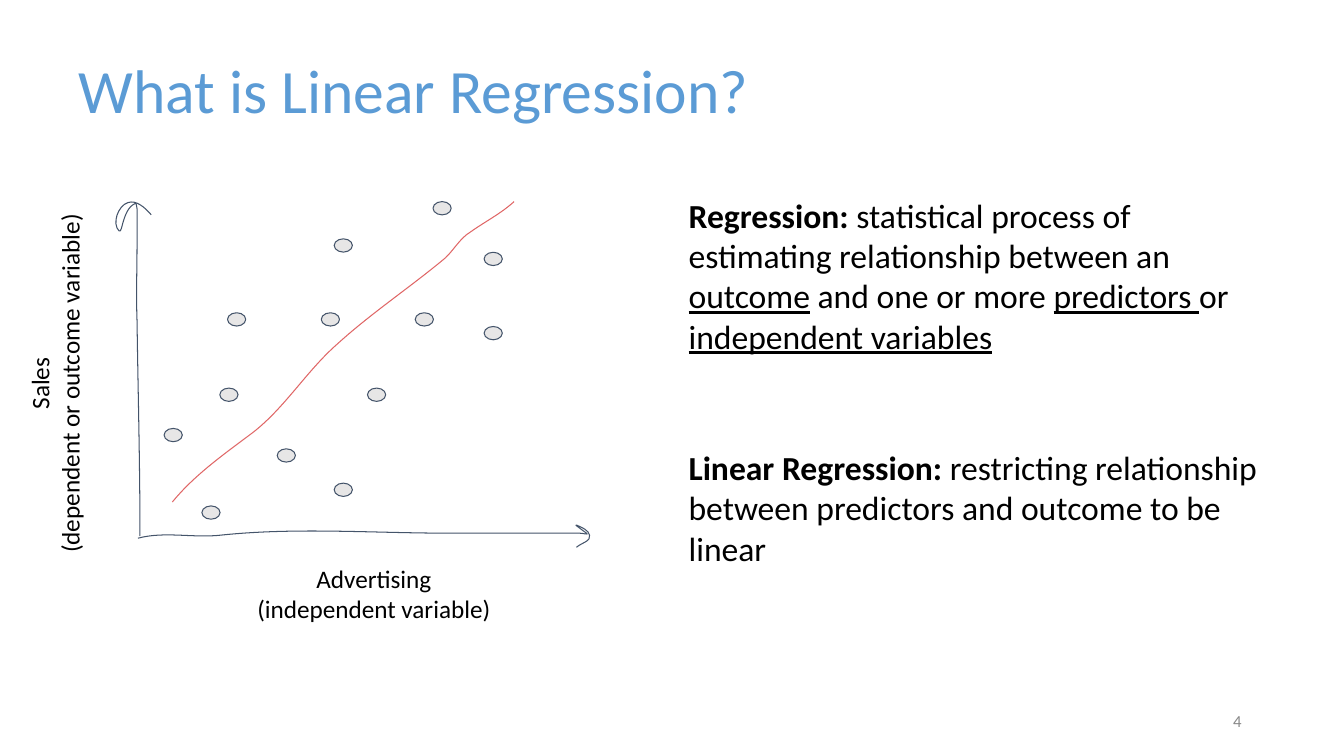
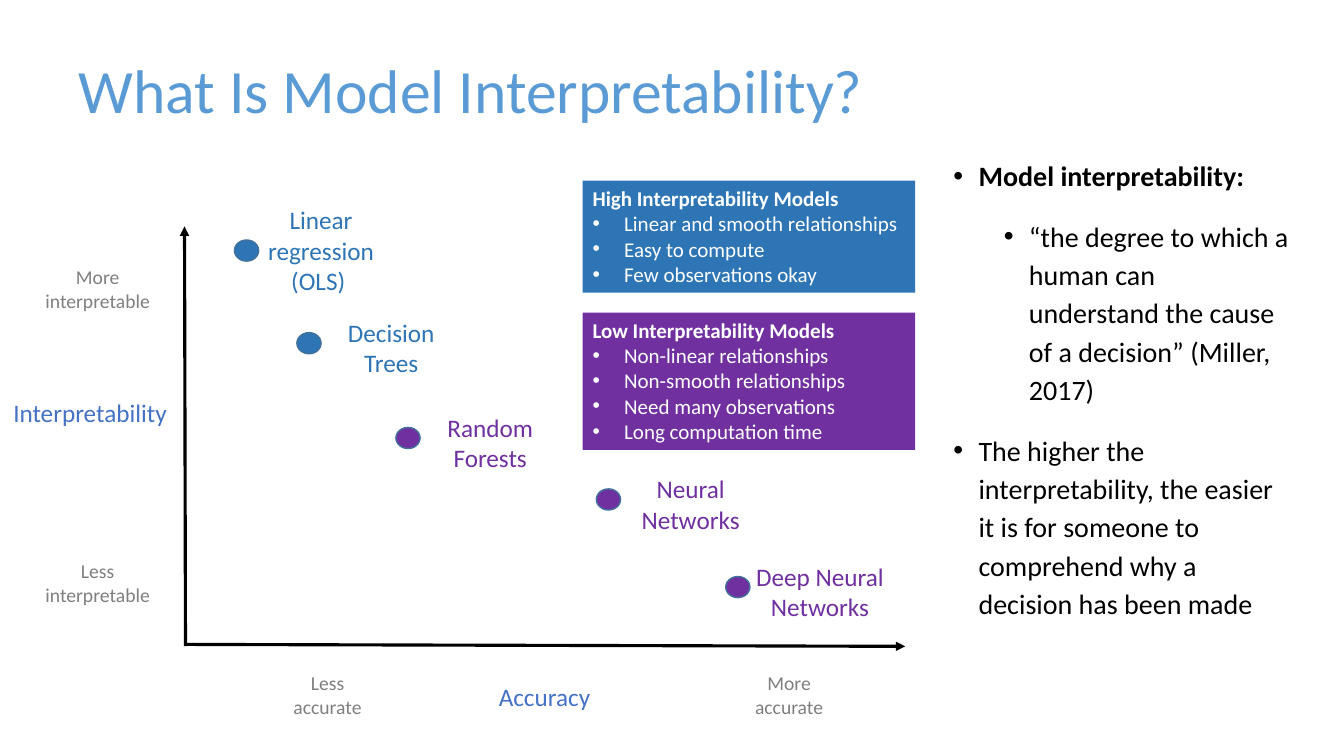
from pptx import Presentation
from pptx.dml.color import RGBColor
from pptx.enum.shapes import MSO_CONNECTOR, MSO_SHAPE
from pptx.enum.text import MSO_ANCHOR, MSO_AUTO_SIZE, PP_ALIGN
from pptx.oxml.ns import qn
from pptx.util import Pt
from lxml import etree

FACE = "Calibri"
SKY = RGBColor(0x5B, 0x9B, 0xD5)
BLUE = RGBColor(0x2E, 0x75, 0xB5)
EDGE = RGBColor(0x42, 0x71, 0x9B)
AXIS = RGBColor(0x44, 0x72, 0xC4)
PLUM = RGBColor(0x70, 0x30, 0xA0)
SLATE = RGBColor(0x44, 0x54, 0x6A)
PALE = RGBColor(0xE7, 0xE6, 0xE6)
ROSE = RGBColor(0xE0, 0x66, 0x66)
GRAY = RGBColor(0x7F, 0x7F, 0x7F)
MUTE = RGBColor(0x88, 0x88, 0x88)
BLACK = RGBColor(0, 0, 0)
WHITE = RGBColor(0xFF, 0xFF, 0xFF)

LEFT, MID, RIGHT = PP_ALIGN.LEFT, PP_ALIGN.CENTER, PP_ALIGN.RIGHT
TOP, CENTER = MSO_ANCHOR.TOP, MSO_ANCHOR.MIDDLE
FIXED = MSO_AUTO_SIZE.NONE
OVAL, RECT = MSO_SHAPE.OVAL, MSO_SHAPE.RECTANGLE
STRAIGHT = MSO_CONNECTOR.STRAIGHT

# Sketch curves: a start point, then cubic segments (two handles, end)
RISE = [(100, 383),
        (100, 331.2), (98.6, 280), (97.9, 229),
        (97.2, 210.6), (97.9, 192.2), (97.9, 174.2),
        (97.9, 165.6), (97.9, 157), (97.9, 149),
        (97.9, 147.6), (97.2, 144.7), (96.5, 145.4),
        (91.4, 147.6), (89.3, 154.1), (87.8, 159.1),
        (87.1, 161.3), (86.4, 166.3), (85, 164.9),
        (79.9, 159.8), (84.2, 146.9), (91.4, 144.7),
        (97.2, 142.6), (103.7, 148.3), (108, 153.4)]
RUN = [(98.6, 384.5),
       (117.4, 379.4), (138.2, 384.5), (157.7, 382.3),
       (211.7, 376.6), (266.4, 380.9), (321.1, 380.9),
       (346.3, 380.9), (371.5, 380.9), (396.7, 380.9),
       (402.5, 380.9), (408.2, 380.9), (414, 380.9),
       (416.2, 380.9), (421.2, 382.3), (419, 380.9),
       (416.9, 379.4), (409, 373.7), (411.8, 375.1),
       (415.4, 376.6), (420.5, 378.7), (421.2, 382.3),
       (422.6, 386.6), (414.7, 388.1), (411.8, 391)]
TREND = [(123.1, 358.6),
         (139, 339.1), (160.6, 324), (180.7, 308.9),
         (203.8, 290.9), (218.9, 265), (241.2, 245.5),
         (264.2, 224.6), (290.9, 206.6), (315.4, 186.5),
         (323.3, 180.7), (327.6, 170.6), (336.2, 165.6),
         (346.3, 158.4), (357.8, 152.6), (367.2, 144)]

SALES = [(157, 277.2), (162.5, 223.4), (229.5, 223.4), (345.8, 233.2),
         (238.7, 170.6), (296.6, 223.4), (238.7, 345.1), (262.5, 277.2),
         (309.3, 144), (144.2, 361.4), (198, 320.6), (345.8, 180.2),
         (117.2, 306)]

# Name, dot position, label offset, label height, colour
MODELS = [
    ("Linear regression (OLS) ", 167.5, 171.4, (8.2, -28.8), 72.7, BLUE),
    ("Decision Trees", 212.1, 237.6, (13.7, -14.4), 51, BLUE),
    ("Random Forests", 282.8, 305.3, (13.7, -14.4), 51, PLUM),
    ("Neural Networks", 426, 349.2, (13.7, -14.4), 51, PLUM),
    ("Deep Neural Networks", 518.4, 411.8, (13.7, -14.4), 51, PLUM),
]


# Text
def put(frame, lines, size, color, align=LEFT):
    """Fill a frame; a line is a string or a list of (text, style) runs."""
    frame.word_wrap = True
    frame.auto_size = FIXED
    for i, line in enumerate(lines):
        para = frame.paragraphs[0] if i == 0 else frame.add_paragraph()
        para.alignment = align
        para.space_before = Pt(0)
        font = para.font
        font.name, font.size = FACE, Pt(size)
        font.color.rgb = color
        runs = [(line, "")] if isinstance(line, str) else line
        for words, style in runs:
            run = para.add_run()
            run.text = words
            if style == "b":
                run.font.bold = True
            elif style == "u":
                run.font.underline = True


def bullet(para, left, hang, color):
    props = para._p.get_or_add_pPr()
    props.set("marL", str(Pt(left)))
    props.set("indent", str(-Pt(hang)))
    tint = etree.Element(qn("a:buClr"))
    etree.SubElement(tint, qn("a:srgbClr"), val=str(color))
    face = etree.Element(qn("a:buFont"), typeface="Arial")
    mark = etree.Element(qn("a:buChar"), char="•")
    last = props.find(qn("a:defRPr"))
    for part in (tint, face, mark):
        last.addprevious(part)


def place(shape, x, y, w, h):
    shape.left, shape.top, shape.width, shape.height = map(Pt, (x, y, w, h))


def label(slide, lines, x, y, w, h, size=18, color=BLACK, align=MID):
    box = slide.shapes.add_textbox(Pt(x), Pt(y), Pt(w), Pt(h))
    put(box.text_frame, lines, size, color, align)
    return box


def start(deck, layout, title):
    slide = deck.slides.add_slide(deck.slide_layouts[layout])
    head = slide.shapes.title
    place(head, 49, 22.3, 720, 88.6)
    put(head.text_frame, [title], 44, SKY)
    head.text_frame.vertical_anchor = CENTER
    head.text_frame.paragraphs[0].line_spacing = 0.9
    return slide


# Shapes
def dot(slide, x, y, w, h, fill, edge, width):
    oval = slide.shapes.add_shape(OVAL, Pt(x), Pt(y), Pt(w), Pt(h))
    oval.shadow.inherit = False
    oval.fill.solid()
    oval.fill.fore_color.rgb = fill
    oval.line.color.rgb = edge
    oval.line.width = Pt(width)


def panel(slide, y, h, fill, head, items):
    box = slide.shapes.add_shape(RECT, Pt(416.2), Pt(y), Pt(237.4), Pt(h))
    box.shadow.inherit = False
    box.fill.solid()
    box.fill.fore_color.rgb = fill
    box.line.fill.background()
    frame = box.text_frame
    put(frame, [[(head, "b")]] + items, 15, WHITE)
    frame.vertical_anchor = TOP
    for para in frame.paragraphs[1:]:
        bullet(para, 22.5, 22.5, WHITE)


def arrow(slide, x1, y1, x2, y2):
    line = slide.shapes.add_connector(STRAIGHT, *map(Pt, (x1, y1, x2, y2)))
    line.line.color.rgb = BLACK
    line.line.width = Pt(2.25)
    etree.SubElement(line.line._get_or_add_ln(), qn("a:tailEnd"),
                     type="triangle")
    etree.SubElement(line._element.spPr, qn("a:effectLst"))


def curve(slide, knots, color):
    pen = slide.shapes.build_freeform(*map(Pt, knots[0]))
    pen.add_line_segments([(Pt(x), Pt(y)) for x, y in knots[1:]], close=False)
    shape = pen.convert_to_shape()
    # Turn each three straight steps into one cubic segment
    steps = list(shape._element.iter(qn("a:lnTo")))
    for i in range(0, len(steps), 3):
        cubic = etree.Element(qn("a:cubicBezTo"))
        steps[i].addprevious(cubic)
        for step in steps[i:i + 3]:
            cubic.append(step[0])
            step.getparent().remove(step)
    shape.shadow.inherit = False
    shape.fill.background()
    shape.line.color.rgb = color
    shape.line.width = Pt(0.75)


# Slides
def regress(deck):
    slide = start(deck, 5, "What is Linear Regression?")
    label(slide, ["4"], 678, 500.5, 216, 28.8, 12, MUTE,
          RIGHT).text_frame.vertical_anchor = CENTER
    label(slide, [[
        ("Regression: ", "b"),
        ("statistical process of estimating relationship between an ", ""),
        ("outcome", "u"), (" and one or more ", ""), ("predictors ", "u"),
        ("or ", ""), ("independent variables", "u"),
    ]], 484.8, 135.4, 436.3, 124, 24, align=LEFT)
    label(slide, [[
        ("Linear Regression: ", "b"),
        ("restricting relationship between predictors and outcome "
         "to be linear", ""),
    ]], 484.8, 315.7, 436.3, 94.5, 24, align=LEFT)

    # Sketched scatter
    label(slide, ["Advertising", "(independent variable)"],
          175.3, 398.7, 183.6, 51)
    label(slide, ["Sales", "(dependent or outcome variable)"],
          -90.7, 248.4, 260, 51).rotation = 270
    for knots, color in ((RISE, SLATE), (RUN, SLATE), (TREND, ROSE)):
        curve(slide, knots, color)
    for x, y in SALES:
        dot(slide, x, y, 13, 9.5, PALE, SLATE, 0.75)


def explain(deck):
    slide = start(deck, 1, "What Is Model Interpretability?")
    body = slide.placeholders[1]
    place(body, 673.8, 106.4, 255, 406)
    put(body.text_frame, [
        [("Model interpretability:", "b")],
        "“the degree to which a human can understand the cause of a "
        "decision” (Miller, 2017)",
        "The higher the interpretability, the easier it is for someone to "
        "comprehend why a decision has been made",
    ], 20, BLACK)
    for i, para in enumerate(body.text_frame.paragraphs):
        para.level = 1 if i == 1 else 0
        para.line_spacing = 1.14
        para.space_before = Pt(16 if i else 0)
        bullet(para, 18 + 36 * para.level, 18, BLACK)

    # Axes
    arrow(slide, 132.5, 461.5, 131.8, 161.7)
    arrow(slide, 132.5, 460.3, 646.6, 461.7)
    label(slide, ["Accuracy"], 349.2, 483, 81, 29, 18, AXIS, LEFT)
    label(slide, ["Interpretability"], 2.4, 280, 125.3, 29, 18, AXIS, LEFT)
    for words, x, y, w in (("More accurate", 523.4, 476, 80.6),
                           ("Less accurate", 193.7, 476, 80.6),
                           ("Less interpretable", 23, 396, 93.6),
                           ("More interpretable", 23, 185.8, 93.6)):
        label(slide, [words], x, y, w, 41, 14, GRAY)

    # Models
    panel(slide, 129.1, 80, BLUE, "High Interpretability Models",
          ["Linear and smooth relationships", "Easy to compute",
           "Few observations okay"])
    panel(slide, 223.3, 98, PLUM, "Low Interpretability Models",
          ["Non-linear relationships", "Non-smooth relationships",
           "Need many observations", "Long computation time"])
    for name, x, y, (dx, dy), high, color in MODELS:
        dot(slide, x, y, 17.3, 15.1, color, EDGE, 1)
        label(slide, [name], x + dx, y + dy, 107.3, high, 18, color)


def main():
    deck = Presentation()
    deck.slide_width, deck.slide_height = Pt(960), Pt(540)
    regress(deck)
    explain(deck)
    deck.save("out.pptx")


if __name__ == "__main__":
    main()
